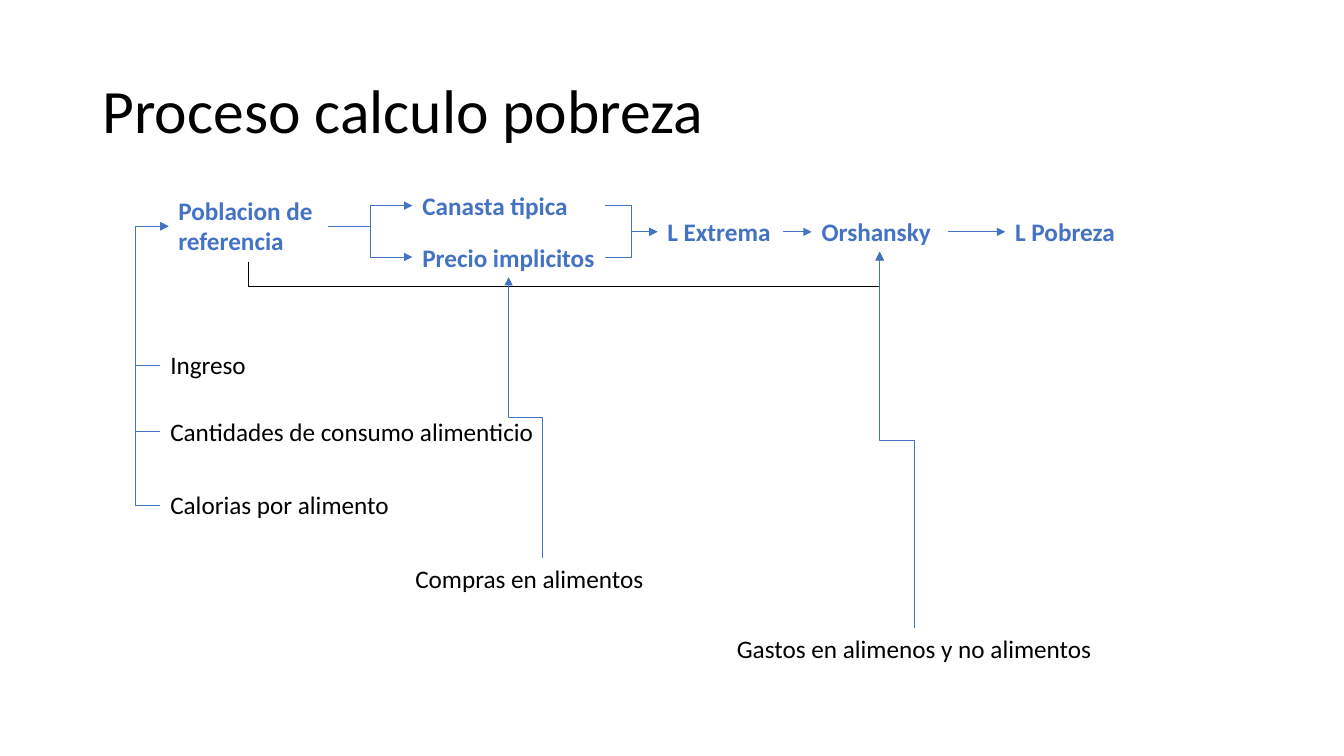
"""Builds the slide on the poverty calculation process."""
from lxml.etree import SubElement
from pptx import Presentation
from pptx.dml.color import RGBColor
from pptx.enum.shapes import MSO_CONNECTOR as LINK
from pptx.enum.text import MSO_ANCHOR as ANCHOR, MSO_AUTO_SIZE as AUTOSIZE
from pptx.oxml.ns import qn
from pptx.util import Inches, Pt

BLUE = RGBColor(0x44, 0x72, 0xC4)
BLACK = RGBColor(0, 0, 0)
TOP, LEFT, BOTTOM, RIGHT = range(4)
ROW = 0.4

TITLE = ("Proceso calculo pobreza", (0.92, 0.4, 11.5, 1.45))
STEPS = {
    "Poblacion de referencia": (1.67, 1.89, 1.58, 0.71),
    "Canasta tipica": (4.09, 1.84, 1.91, ROW),
    "Precio implicitos": (4.09, 2.35, 1.91, ROW),
    "L Extrema": (6.52, 2.1, 1.25, ROW),
    "Orshansky": (8.05, 2.1, 1.35, ROW),
    "L Pobreza": (9.97, 2.1, 1.91, ROW),
}
INPUTS = {
    "Ingreso": (1.59, 3.42, 1.22, ROW),
    "Cantidades de consumo alimenticio": (1.59, 4.08, 4.09, ROW),
    "Calorias por alimento": (1.59, 4.81, 2.72, ROW),
    "Compras en alimentos": (4.02, 5.54, 2.72, ROW),
    "Gastos en alimenos y no alimentos": (7.21, 6.23, 3.72, ROW),
}
STRAIGHT = [("L Extrema", "Orshansky"), ("Orshansky", "L Pobreza")]
ELBOWS = [
    ("Poblacion de referencia", RIGHT, "Canasta tipica", LEFT, None, BLUE),
    ("Poblacion de referencia", RIGHT, "Precio implicitos", LEFT, None, BLUE),
    ("Canasta tipica", RIGHT, "L Extrema", LEFT, None, BLUE),
    ("Precio implicitos", RIGHT, "L Extrema", LEFT, None, BLUE),
    ("Poblacion de referencia", BOTTOM, "Orshansky", BOTTOM, 2.84, BLACK),
    ("Ingreso", LEFT, "Poblacion de referencia", LEFT, 1.34, BLUE),
    ("Cantidades de consumo alimenticio", LEFT,
     "Poblacion de referencia", LEFT, 1.34, BLUE),
    ("Calorias por alimento", LEFT,
     "Poblacion de referencia", LEFT, 1.34, BLUE),
    ("Compras en alimentos", TOP, "Precio implicitos", BOTTOM, None, BLUE),
    ("Gastos en alimenos y no alimentos", TOP,
     "Orshansky", BOTTOM, None, BLUE),
]
PLACES = {**STEPS, **INPUTS}


def add_text(slide, text, place, size=18, color=BLACK, bold=False,
             anchor=ANCHOR.TOP, autosize=AUTOSIZE.SHAPE_TO_FIT_TEXT,
             spacing=1.0):
    label = slide.shapes.add_textbox(*map(Inches, place))
    frame = label.text_frame
    frame.word_wrap = True
    frame.auto_size = autosize
    frame.vertical_anchor = anchor
    paragraph = frame.paragraphs[0]
    paragraph.line_spacing = spacing
    run = paragraph.add_run()
    run.text = text
    run.font.name = "Calibri"
    run.font.size = Pt(size)
    run.font.bold = bold
    run.font.color.rgb = color
    return label


def side_middle(step, side):
    left, top, width, height = PLACES[step]
    across = {LEFT: 0, RIGHT: 1}.get(side, 0.5)
    down = {TOP: 0, BOTTOM: 1}.get(side, 0.5)
    return left + across * width, top + down * height


def add_arrow(slide, kind, start, end, color=BLUE):
    arrow = slide.shapes.add_connector(kind, *map(Inches, (*start, *end)))
    arrow.line.color.rgb = color
    arrow.line.width = Pt(0.5)
    SubElement(arrow.line._get_or_add_ln(), qn("a:tailEnd"), type="triangle")
    SubElement(arrow._element.spPr, qn("a:effectLst"))
    return arrow


def add_elbow(slide, source, source_side, target, target_side, bend, color):
    start = x1, y1 = side_middle(source, source_side)
    end = x2, y2 = side_middle(target, target_side)
    upright = source_side in (TOP, BOTTOM)
    first, last = (y1, y2) if upright else (x1, x2)
    if upright:
        middle_x, middle_y = (x1 + x2) / 2, (y1 + y2) / 2
        half_run, half_rise = (y1 - y2) / 2, (x2 - x1) / 2
        start = middle_x - half_run, middle_y - half_rise
        end = middle_x + half_run, middle_y + half_rise
    elbow = add_arrow(slide, LINK.ELBOW, start, end, color)
    properties = elbow._element.spPr
    if upright:
        properties.find(qn("a:xfrm")).set("rot", str(270 * 60000))
    if bend is not None:
        ratio = round((bend - first) / (last - first) * 100000)
        guides = properties.find(qn("a:prstGeom")).find(qn("a:avLst"))
        SubElement(guides, qn("a:gd"), name="adj1", fmla=f"val {ratio}")


def main():
    deck = Presentation()
    deck.slide_width, deck.slide_height = Inches(13.33), Inches(7.5)
    slide = deck.slides.add_slide(deck.slide_layouts[6])
    add_text(slide, *TITLE, size=44, anchor=ANCHOR.MIDDLE,
             autosize=AUTOSIZE.NONE, spacing=0.9)
    steps = {text: add_text(slide, text, place, color=BLUE, bold=True)
             for text, place in STEPS.items()}
    for text, place in INPUTS.items():
        add_text(slide, text, place)
    for elbow in ELBOWS:
        add_elbow(slide, *elbow)
    for source, target in STRAIGHT:
        arrow = add_arrow(slide, LINK.STRAIGHT, side_middle(source, RIGHT),
                          side_middle(target, LEFT))
        arrow.begin_connect(steps[source], RIGHT)
        arrow.end_connect(steps[target], LEFT)
    deck.save("out.pptx")


if __name__ == "__main__":
    main()
